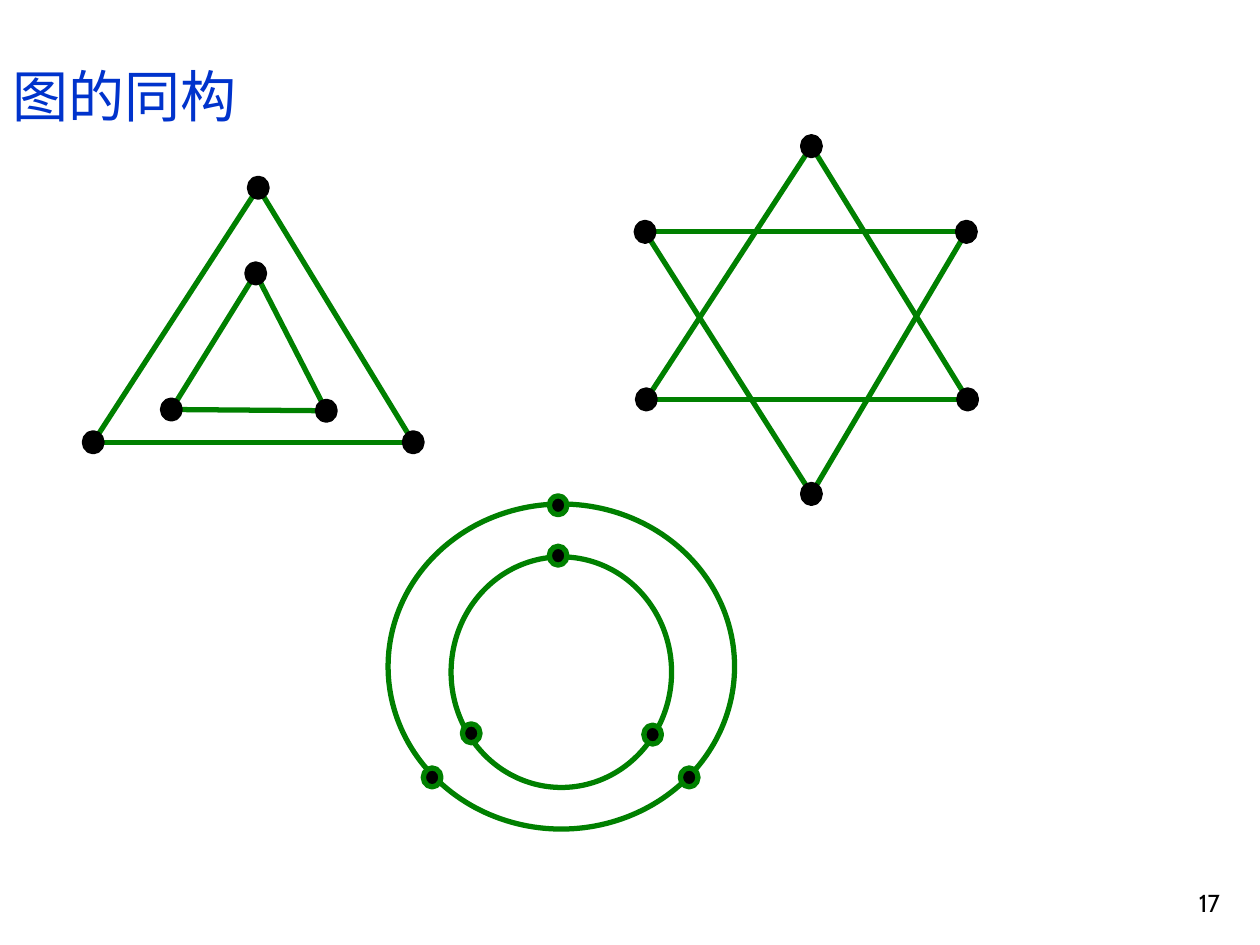
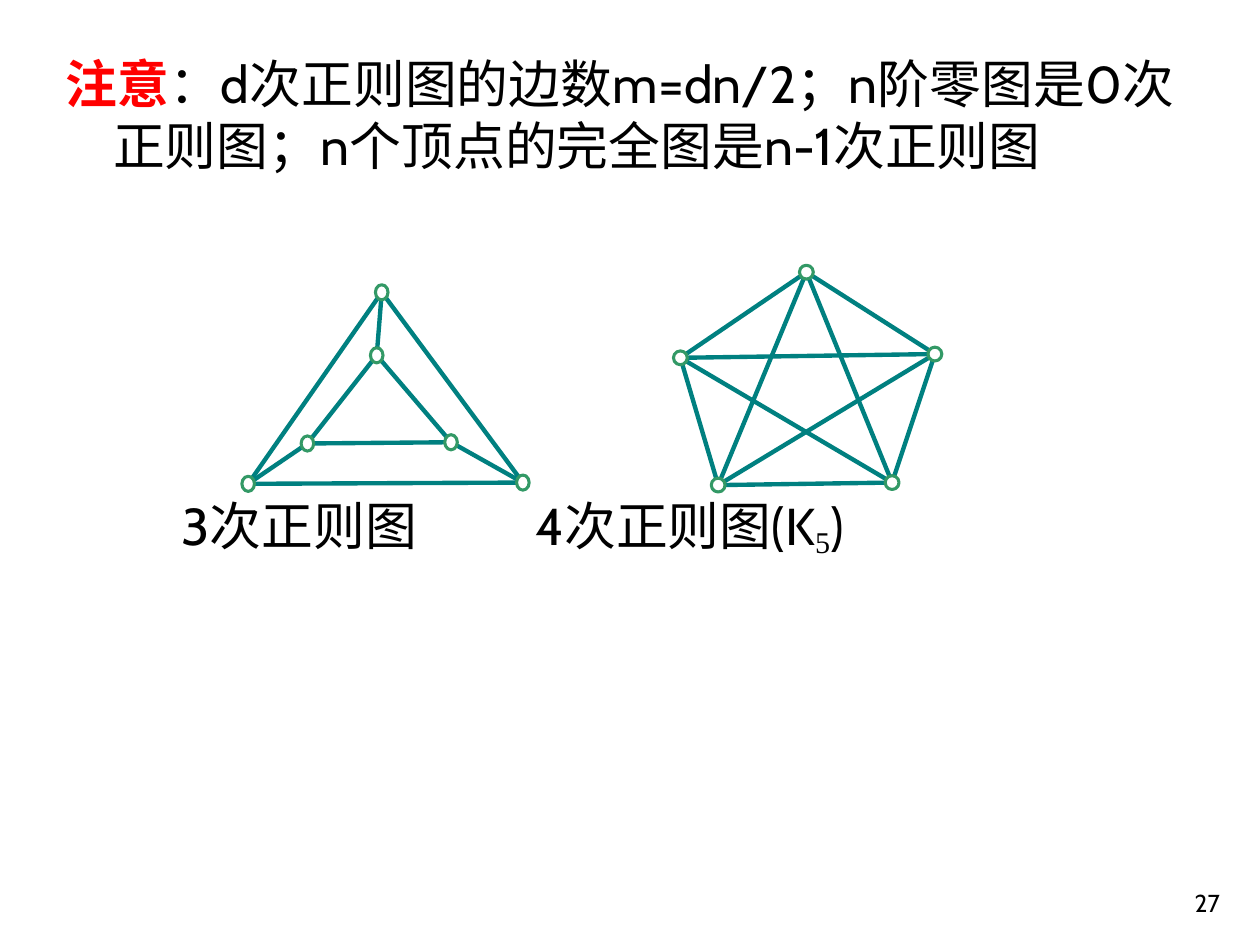
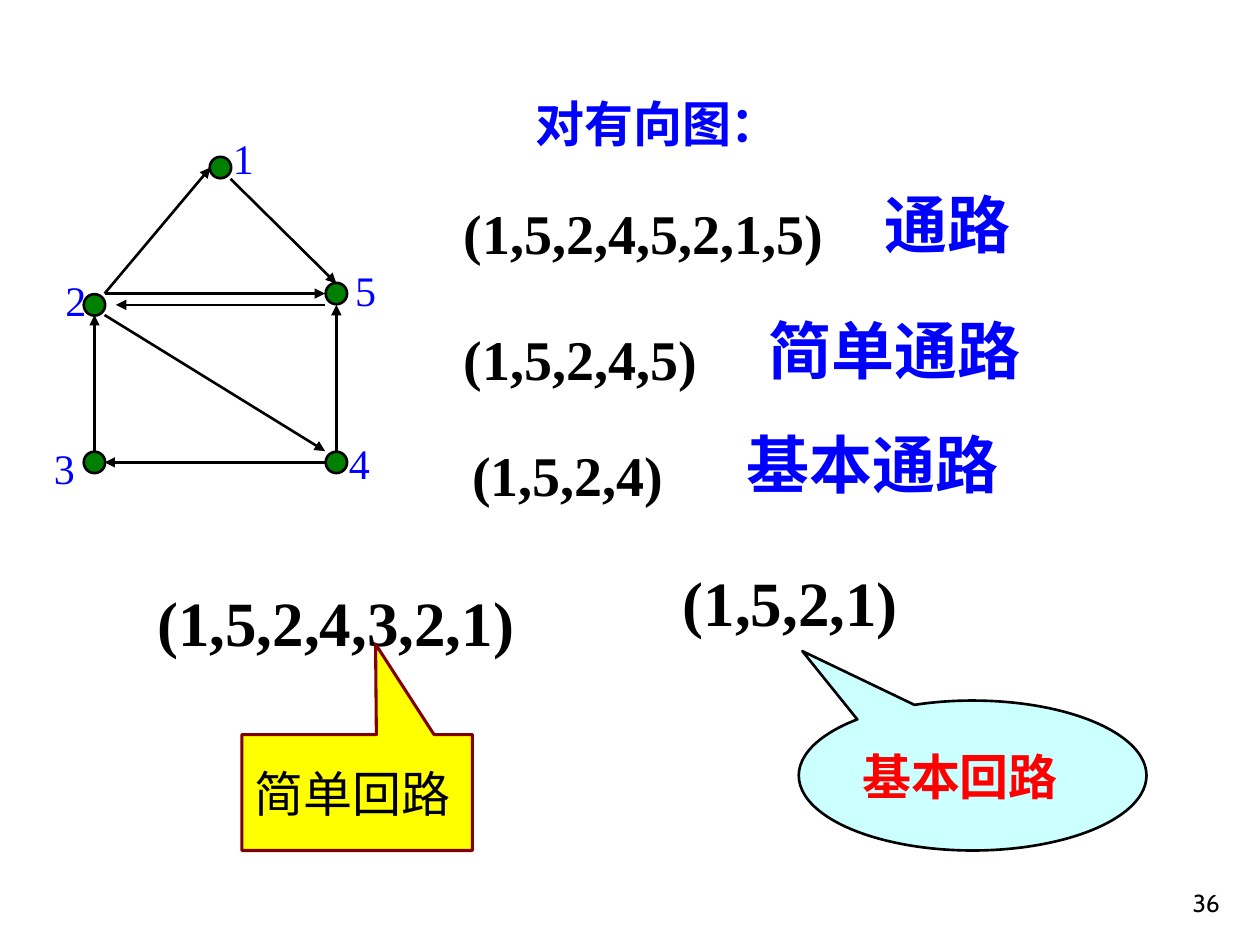
import dataclasses
import typing

import lxml.etree
import pptx
import pptx.dml.color
import pptx.enum.shapes
import pptx.enum.text
import pptx.oxml.ns
import pptx.presentation
import pptx.shapes.autoshape
import pptx.shapes.connector
import pptx.slide
import pptx.text.text
import pptx.util

Inches = pptx.util.Inches
Preset = pptx.enum.shapes.MSO_SHAPE
Align = pptx.enum.text.PP_ALIGN
Anchor = pptx.enum.text.MSO_ANCHOR
Point = tuple[float, float]
Box = tuple[float, float, float, float]

SANS = "Cabin"
SERIF = "Times New Roman"
BLACK = "000000"
WHITE = "FFFFFF"
RED = "FF0000"
BLUE = "0000FF"
TITLE_BLUE = "0033CC"
GREEN = "008000"
TEAL = "008080"
SEA_GREEN = "339966"
YELLOW = "FFFF00"
MAROON = "800000"
PALE_CYAN = "CCFFFF"
BODY_SIZE = 29.6


@dataclasses.dataclass(frozen=True)
class TextStyle:
    size: float
    color: str = BLACK
    font: str = SANS
    bold: bool = False
    baseline: int = 0


@dataclasses.dataclass(frozen=True)
class Label:
    box: Box
    runs: tuple[tuple[str, TextStyle], ...]
    wrap: bool = True
    align: Align = Align.LEFT
    anchor: Anchor = Anchor.TOP
    hanging: float = 0


@dataclasses.dataclass(frozen=True)
class Callout:
    preset: Preset
    box: Box
    tip: Point
    fill: str
    line: str
    line_width: float
    text: str
    style: TextStyle


@dataclasses.dataclass(frozen=True)
class NodeStyle:
    width: float
    height: float
    fill: str
    line: str
    line_width: float


@dataclasses.dataclass(frozen=True)
class Graph:
    nodes: tuple[Point, ...]
    node_style: NodeStyle
    edges: tuple[tuple[int, int], ...] = ()
    rings: tuple[Box, ...] = ()
    edge_color: str = GREEN
    edge_width: float = 3


BODY = TextStyle(BODY_SIZE)
PATH_TEXT = TextStyle(32, font=SERIF, bold=True)
CIRCUIT_TEXT = TextStyle(36, font=SERIF, bold=True)
PATH_KIND = TextStyle(36, BLUE, bold=True)
NODE_NUMBER = TextStyle(24, BLUE, SERIF)

BLACK_NODE = NodeStyle(0.14, 0.15, BLACK, BLACK, 3)
RING_NODE = NodeStyle(0.14, 0.15, BLACK, GREEN, 3)
OPEN_NODE = NodeStyle(0.11, 0.11, WHITE, SEA_GREEN, 1.75)
TALL_NODE = NodeStyle(0.1, 0.12, WHITE, SEA_GREEN, 1.75)
DIRECTED_NODE = NodeStyle(0.17, 0.17, GREEN, BLACK, 1.5)

TWO_TRIANGLES = ((0, 1), (1, 2), (2, 0), (3, 4), (4, 5), (5, 3))

ISOMORPHIC_GRAPHS = (
    Graph(
        ((6.44, 1.16), (7.68, 3.17), (5.13, 3.17), (6.44, 3.92), (7.67, 1.84), (5.12, 1.84)),
        BLACK_NODE,
        TWO_TRIANGLES,
    ),
    Graph(
        ((2.05, 1.49), (3.28, 3.51), (0.74, 3.51), (2.03, 2.17), (2.59, 3.26), (1.36, 3.25)),
        BLACK_NODE,
        TWO_TRIANGLES,
    ),
    Graph(
        ((4.43, 4.01), (5.47, 6.17), (3.43, 6.17), (4.43, 4.41), (5.18, 5.83), (3.74, 5.82)),
        RING_NODE,
        rings=((3.58, 4.42, 1.75, 1.83), (3.08, 4, 2.75, 2.58)),
    ),
)

REGULAR_GRAPHS = (
    Graph(
        ((6.4, 2.16), (7.42, 2.81), (7.08, 3.83), (5.7, 3.85), (5.4, 2.84)),
        OPEN_NODE,
        tuple((start, end) for end in range(5) for start in range(end)),
        edge_color=TEAL,
        edge_width=2.5,
    ),
    Graph(
        ((3.03, 2.32), (4.15, 3.83), (1.97, 3.84), (2.99, 2.82), (3.58, 3.51), (2.44, 3.52)),
        TALL_NODE,
        TWO_TRIANGLES + tuple((corner, corner + 3) for corner in range(3)),
        edge_color=TEAL,
        edge_width=2.5,
    ),
)

DIRECTED_NODES = ((1.75, 1.33), (0.75, 2.42), (2.67, 2.33), (0.75, 3.67), (2.67, 3.67))
DIRECTED_EDGES = (
    ((0.83, 2.33), (1.67, 1.33)),
    ((1.83, 1.42), (2.67, 2.25)),
    ((0.75, 3.58), (0.75, 2.5)),
    ((2.67, 3.58), (2.67, 2.42)),
    ((2.58, 3.67), (0.83, 3.67)),
    ((0.83, 2.5), (2.58, 3.58)),
    ((0.83, 2.33), (2.58, 2.33)),
    ((2.58, 2.42), (0.92, 2.42)),
)
NUMBER_CORNERS = ((1.75, 1), (0.42, 2.13), (0.33, 3.46), (2.67, 3.42), (2.72, 2.05))

REGULAR_LABELS = (
    Label(
        (0.42, 0.36, 9.38, 1.1),
        (
            ("注意", TextStyle(BODY_SIZE, RED, bold=True)),
            ("：d次正则图的边数m=dn/2；n阶零图是0次正则图；n个顶点的完全图是n-1次正则图", BODY),
        ),
        hanging=0.38,
    ),
    Label((1.34, 3.87, 2.6, 0.6), (("3次正则图", BODY),)),
    Label(
        (4.15, 3.87, 3.4, 0.6),
        (
            ("4次正则图(K", BODY),
            ("5", TextStyle(BODY_SIZE, font=SERIF, baseline=-16)),
            (")", BODY),
        ),
    ),
)

PATH_LABELS = (
    Label((3.58, 1.53, 4.18, 0.64), (("(1,5,2,4,5,2,1,5)", PATH_TEXT),)),
    Label((6.92, 1.42, 2, 0.7), (("通路", PATH_KIND),)),
    Label((3.58, 2.53, 4.18, 0.64), (("(1,5,2,4,5)", PATH_TEXT),)),
    Label((6, 2.42, 3, 0.7), (("简单通路", PATH_KIND),)),
    Label((3.65, 3.45, 4.18, 0.64), (("(1,5,2,4)", PATH_TEXT),)),
    Label((5.83, 3.33, 3.17, 0.7), (("基本通路", PATH_KIND),)),
    Label((4.15, 0.69, 2.43, 0.57), (("对有向图：", TextStyle(28, BLUE, bold=True)),)),
    Label((5.32, 4.42, 2.68, 0.7), (("(1,5,2,1)", CIRCUIT_TEXT),)),
    Label((1.15, 4.58, 5.02, 0.7), (("(1,5,2,4,3,2,1)", CIRCUIT_TEXT),)),
)

CIRCUIT_CALLOUTS = (
    Callout(
        Preset.OVAL_CALLOUT, (6.34, 5.56, 2.76, 1.19), (-0.49, -0.83),
        PALE_CYAN, BLACK, 1.5, "基本回路", TextStyle(28, RED, bold=True),
    ),
    Callout(
        Preset.RECTANGULAR_CALLOUT, (1.92, 5.83, 1.83, 0.92), (0.08, -1.28),
        YELLOW, MAROON, 1.75, "简单回路", TextStyle(28),
    ),
)


def rgb(color: str) -> pptx.dml.color.RGBColor:
    return pptx.dml.color.RGBColor.from_string(color)


def add_run(paragraph: typing.Any, text: str, style: TextStyle) -> None:
    run = paragraph.add_run()
    run.text = text
    run.font.name = style.font
    run.font.size = pptx.util.Pt(style.size)
    run.font.bold = style.bold
    run.font.color.rgb = rgb(style.color)
    if style.baseline:
        run._r.get_or_add_rPr().set("baseline", str(style.baseline * 1000))


def draw_label(slide: pptx.slide.Slide, label: Label) -> None:
    shape = slide.shapes.add_textbox(*map(Inches, label.box))
    shape.text_frame.word_wrap = label.wrap
    shape.text_frame.vertical_anchor = label.anchor
    paragraph = shape.text_frame.paragraphs[0]
    paragraph.alignment = label.align
    if label.hanging:
        properties = paragraph._p.get_or_add_pPr()
        properties.set("marL", str(Inches(label.hanging)))
        properties.set("indent", str(-Inches(label.hanging)))
    for text, style in label.runs:
        add_run(paragraph, text, style)


def draw_shape(
    shapes: typing.Any, preset: Preset, box: Box, fill: str | None, line: str, line_width: float
) -> pptx.shapes.autoshape.Shape:
    shape = shapes.add_shape(preset, *map(Inches, box))
    shape.shadow.inherit = False
    if fill is None:
        shape.fill.background()
    else:
        shape.fill.solid()
        shape.fill.fore_color.rgb = rgb(fill)
    shape.line.color.rgb = rgb(line)
    shape.line.width = pptx.util.Pt(line_width)
    return shape


def draw_node(shapes: typing.Any, center: Point, style: NodeStyle) -> None:
    box = (center[0] - style.width / 2, center[1] - style.height / 2, style.width, style.height)
    draw_shape(shapes, Preset.OVAL, box, style.fill, style.line, style.line_width)


def draw_edge(
    shapes: typing.Any, start: Point, end: Point, color: str, width: float, arrow: bool = False
) -> None:
    connector = shapes.add_connector(
        pptx.enum.shapes.MSO_CONNECTOR.STRAIGHT, *map(Inches, start + end)
    )
    connector.line.color.rgb = rgb(color)
    connector.line.width = pptx.util.Pt(width)
    properties = connector._element.spPr
    if arrow:
        line = properties.find(pptx.oxml.ns.qn("a:ln"))
        lxml.etree.SubElement(line, pptx.oxml.ns.qn("a:tailEnd"), type="triangle")
    lxml.etree.SubElement(properties, pptx.oxml.ns.qn("a:effectLst"))


def draw_graph(slide: pptx.slide.Slide, graph: Graph) -> None:
    shapes = slide.shapes.add_group_shape().shapes
    for ring in graph.rings:
        draw_shape(shapes, Preset.OVAL, ring, None, graph.edge_color, graph.edge_width)
    for start, end in graph.edges:
        draw_edge(
            shapes, graph.nodes[start], graph.nodes[end], graph.edge_color, graph.edge_width
        )
    for node in graph.nodes:
        draw_node(shapes, node, graph.node_style)


def draw_callout(slide: pptx.slide.Slide, callout: Callout) -> None:
    shape = draw_shape(
        slide.shapes, callout.preset, callout.box, callout.fill, callout.line, callout.line_width
    )
    shape.adjustments[0], shape.adjustments[1] = callout.tip
    shape.text_frame.word_wrap = True
    shape.text_frame.vertical_anchor = Anchor.MIDDLE
    paragraph = shape.text_frame.paragraphs[0]
    paragraph.alignment = Align.LEFT
    add_run(paragraph, callout.text, callout.style)


def add_slide(presentation: pptx.presentation.Presentation, number: int) -> pptx.slide.Slide:
    slide = presentation.slides.add_slide(presentation.slide_layouts[6])
    draw_label(
        slide,
        Label(
            (7.7, 6.83, 2.08, 0.5),
            ((str(number), TextStyle(14)),),
            align=Align.RIGHT,
            anchor=Anchor.BOTTOM,
        ),
    )
    return slide


def build_isomorphism(presentation: pptx.presentation.Presentation) -> None:
    slide = add_slide(presentation, 17)
    for graph in ISOMORPHIC_GRAPHS:
        draw_graph(slide, graph)
    draw_label(slide, Label((0, 0.44, 3.52, 0.64), (("图的同构", TextStyle(32, TITLE_BLUE)),)))


def build_regular_graphs(presentation: pptx.presentation.Presentation) -> None:
    slide = add_slide(presentation, 27)
    for label in REGULAR_LABELS:
        draw_label(slide, label)
    for graph in REGULAR_GRAPHS:
        draw_graph(slide, graph)


def build_directed_paths(presentation: pptx.presentation.Presentation) -> None:
    slide = add_slide(presentation, 36)
    for node in DIRECTED_NODES:
        draw_node(slide.shapes, node, DIRECTED_NODE)
    for start, end in DIRECTED_EDGES:
        draw_edge(slide.shapes, start, end, BLACK, 1.5, arrow=True)
    for number, corner in enumerate(NUMBER_CORNERS, start=1):
        draw_label(
            slide, Label(corner + (0.36, 0.5), ((str(number), NODE_NUMBER),), wrap=False)
        )
    for label in PATH_LABELS:
        draw_label(slide, label)
    for callout in CIRCUIT_CALLOUTS:
        draw_callout(slide, callout)


def main() -> None:
    presentation = pptx.Presentation()
    presentation.slide_width = Inches(10)
    presentation.slide_height = Inches(7.5)
    build_isomorphism(presentation)
    build_regular_graphs(presentation)
    build_directed_paths(presentation)
    presentation.save("out.pptx")


if __name__ == "__main__":
    main()
